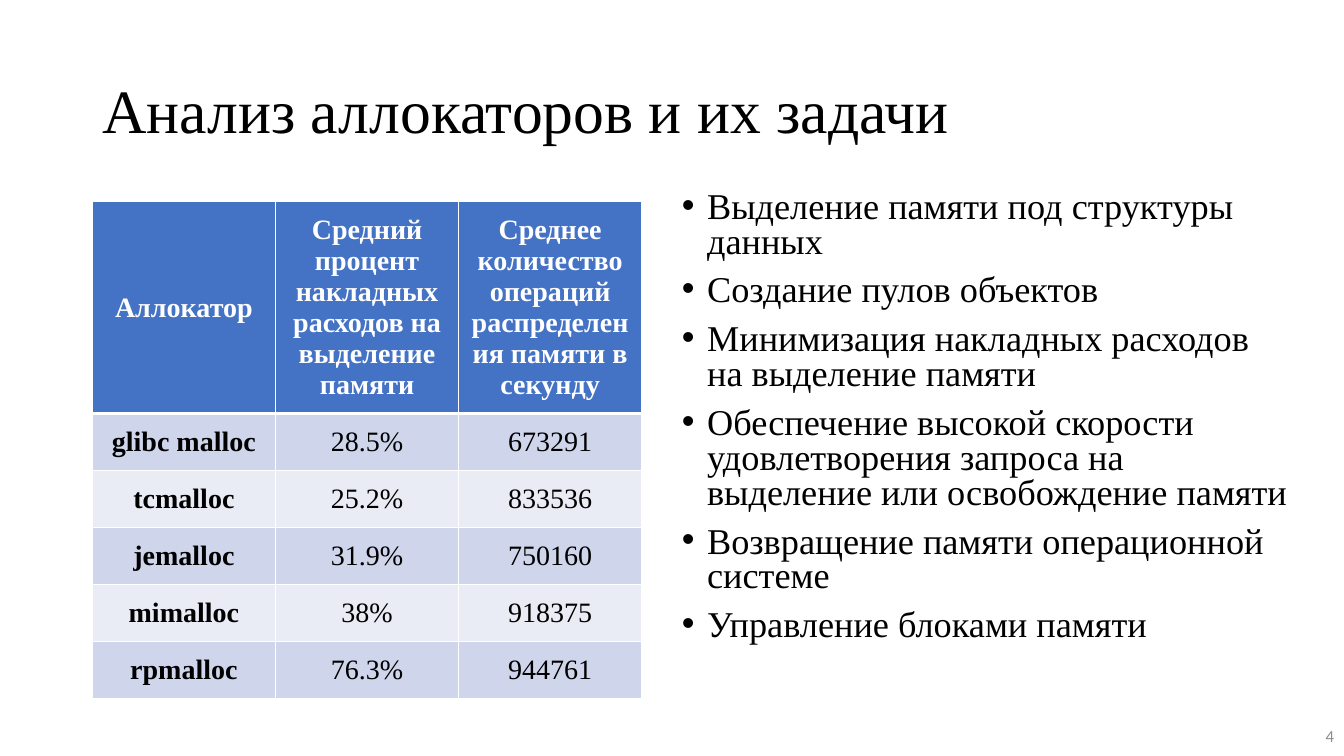
from pptx import Presentation, util as u
from pptx.dml.color import RGBColor
from pptx.enum import text
from pptx.oxml import parse_xml
from pptx.oxml.ns import nsdecls

theme = {
    "serif": "Times New Roman", "sans": "Calibri",
    "ink": "000000", "white": "FFFFFF", "gray": "8C8C8C",
    "head": "4472C4", "bands": ("CFD5EA", "E9EBF5"),
    "title": 44, "list": 25.9, "cell": 20, "note": 12,
}
rows = [
    ("Аллокатор", "Средний процент накладных расходов на выделение памяти",
     "Среднее количество операций распределения памяти в секунду"),
    ("glibc malloc", "28.5%", "673291"),
    ("tcmalloc", "25.2%", "833536"),
    ("jemalloc", "31.9%", "750160"),
    ("mimalloc", "38%", "918375"),
    ("rpmalloc", "76.3%", "944761"),
]
tasks = [
    "Выделение памяти под структуры данных",
    "Создание пулов объектов",
    "Минимизация накладных расходов на выделение памяти",
    "Обеспечение высокой скорости удовлетворения запроса на выделение или освобождение памяти",
    "Возвращение памяти операционной системе",
    "Управление блоками памяти",
]

deck = Presentation()
deck.slide_width, deck.slide_height = u.Inches(13.333), u.Inches(7.5)
slide = deck.slides.add_slide(deck.slide_layouts[6])

# Grid: 160 columns by 150 rows
col, row = deck.slide_width / 160, deck.slide_height / 150


def style(para, words, size, ink="ink", face="serif", bold=False, **form):
    for key, val in form.items():
        setattr(para, key, val)
    run = para.add_run()
    run.text = words
    for key, val in {"size": u.Pt(theme[size]), "name": theme[face], "bold": bold}.items():
        setattr(run.font, key, val)
    run.font.color.rgb = RGBColor.from_string(theme[ink])


def frame(x, y, w, h, anchor):
    box = slide.shapes.add_textbox(int(x * col), int(y * row), int(w * col), int(h * row))
    for key, val in {"word_wrap": True, "vertical_anchor": anchor}.items():
        setattr(box.text_frame, key, val)
    return box.text_frame


mid, top = text.MSO_ANCHOR.MIDDLE, text.MSO_ANCHOR.TOP

# Title
title = frame(11, 8, 138, 29, mid)
style(title.paragraphs[0], "Анализ аллокаторов и их задачи", "title", line_spacing=0.9)

# Allocator table: the head row grows to fit its words
wide, tall, low = 21.8, 29, 11.3
grid = slide.shapes.add_table(
    len(rows), 3, int(11 * col), int(40 * row), int(3 * wide * col), int(98.4 * row)).table
for part in grid.columns:
    part.width = int(wide * col)
for r, line in enumerate(rows):
    grid.rows[r].height = int((low if r else tall) * row)
    for c, words in enumerate(line):
        cell = grid.cell(r, c)
        cell.vertical_anchor = mid
        props = cell._tc.get_or_add_tcPr()
        for side in "LRTB":
            thick = 3 if (r, side) in ((0, "B"), (1, "T")) else 1
            props.append(parse_xml(
                f'<a:ln{side} {nsdecls("a")} w="{u.Pt(thick)}"><a:solidFill>'
                f'<a:srgbClr val="{theme["white"]}"/></a:solidFill></a:ln{side}>'))
        cell.fill.solid()
        shade = theme["bands"][(r - 1) % 2] if r else theme["head"]
        cell.fill.fore_color.rgb = RGBColor.from_string(shade)
        style(cell.text_frame.paragraphs[0], words, "cell", "ink" if r else "white",
              bold=r == 0 or c == 0, alignment=text.PP_ALIGN.CENTER)

# Slide number
note = frame(124, 142, 36, 8, mid)
style(note.paragraphs[0], "4", "note", "gray", "sans", alignment=text.PP_ALIGN.RIGHT)

# Task list
body = frame(80, 37, 75.2, 94, top)
for n, task in enumerate(tasks):
    para = body.add_paragraph() if n else body.paragraphs[0]
    style(para, task, "list", line_spacing=0.8, space_before=u.Pt(10))
    props = para._p.get_or_add_pPr()
    props.set("marL", str(u.Inches(0.25)))
    props.set("indent", str(-u.Inches(0.25)))
    for mark in ('buFont {} typeface="Arial"', 'buChar {} char="•"'):
        props.append(parse_xml(f'<a:{mark.format(nsdecls("a"))}/>'))

deck.save("out.pptx")
